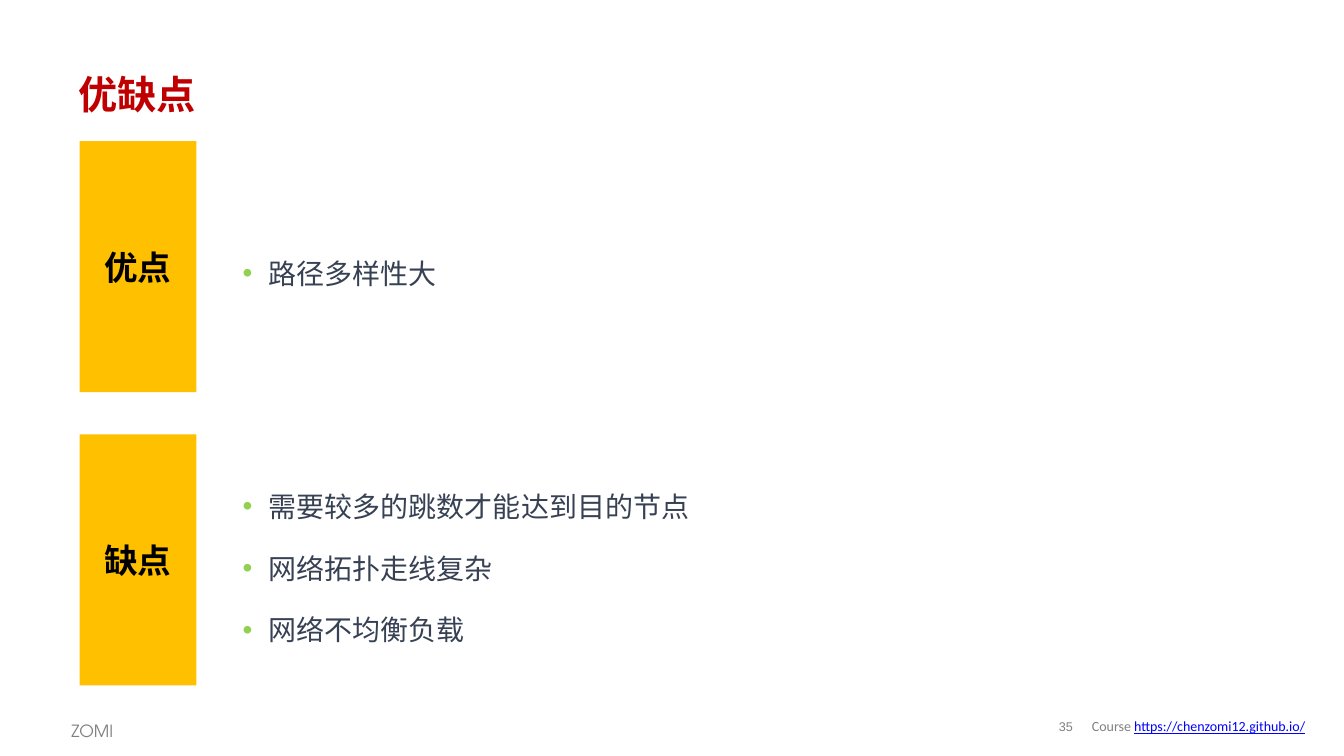
from lxml import etree
from pptx import Presentation
from pptx.dml.color import RGBColor
from pptx.enum import shapes, text
from pptx.oxml import ns
from pptx.util import Inches, Pt

RED = RGBColor(0xC0, 0x00, 0x00)
AMBER = RGBColor(0xFF, 0xC0, 0x00)
SLATE = RGBColor(0x37, 0x41, 0x54)
GRAY = RGBColor(0x80, 0x80, 0x80)
BLUE = RGBColor(0x00, 0x00, 0xFF)
BLACK = RGBColor(0x00, 0x00, 0x00)
BULLET_GREEN = "92D050"
HEADING_FONT = "TeX Gyre Adventor"
MIDDLE = text.MSO_ANCHOR.MIDDLE

deck = Presentation()
deck.slide_width, deck.slide_height = Inches(13.34), Inches(7.5)
page = deck.slides.add_slide(deck.slide_layouts[6])


def add_text(place, words, name, size, color, anchor=text.MSO_ANCHOR.TOP):
    """Add a wrapping text box, one paragraph per line of words."""
    box = page.shapes.add_textbox(*[Inches(length) for length in place])
    frame = box.text_frame
    frame.word_wrap = True
    frame.vertical_anchor = anchor
    frame.text = words
    for para in frame.paragraphs:
        for span in para.runs:
            span.font.name, span.font.size = name, Pt(size)
            span.font.color.rgb = color
    return frame


def add_bullet(para):
    properties = para._p.get_or_add_pPr()
    properties.set("marL", str(Inches(0.26)))
    properties.set("indent", str(-Inches(0.26)))
    color = etree.SubElement(properties, ns.qn("a:buClr"))
    etree.SubElement(color, ns.qn("a:srgbClr"), val=BULLET_GREEN)
    etree.SubElement(properties, ns.qn("a:buFont"), typeface="Arial")
    etree.SubElement(properties, ns.qn("a:buChar"), char="•")
    para.line_spacing = 1.5
    para.space_after = Pt(8)


# Footer
number = add_text((10.4, 7.06, 0.36, 0.31), "35", "Arial", 9, GRAY, MIDDLE)
number.margin_left = number.margin_right = number.margin_top = number.margin_bottom = 0
number.paragraphs[0].alignment = text.PP_ALIGN.CENTER
number.paragraphs[0].line_spacing = 0.85

author = add_text((0.61, 7.06, 0.8, 0.32), "ZOMI", HEADING_FONT, 12, GRAY)
author.paragraphs[0].line_spacing = 1.2

course = add_text((10.74, 7.06, 2.46, 0.29), "Course ", "Calibri", 10, GRAY, MIDDLE)
address = course.paragraphs[0].add_run()
address.text = "https://chenzomi12.github.io/"
address.font.name, address.font.size = "Calibri", Pt(10)
address.font.color.rgb = BLUE
address.font.underline = True

# Title
title = add_text((0.68, 0.61, 11.99, 0.64), "优缺点", HEADING_FONT, 28, RED, MIDDLE)
title.paragraphs[0].runs[0].font.bold = True

# One row each for strengths and weaknesses: label, label top, points top, points height, points
rows = [
    ("优点", 1.4, 2.33, 0.64, ["路径多样性大"]),
    ("缺点", 4.31, 4.64, 1.84,
     ["需要较多的跳数才能达到目的节点", "网络拓扑走线复杂", "网络不均衡负载"]),
]
for label, label_top, points_top, points_height, points in rows:
    block = page.shapes.add_shape(shapes.MSO_SHAPE.RECTANGLE, Inches(0.79),
                                  Inches(label_top), Inches(1.16), Inches(2.49))
    block.shadow.inherit = False
    block.fill.solid()
    block.fill.fore_color.rgb = AMBER
    block.line.fill.background()
    block.text_frame.text = label
    block.text_frame.vertical_anchor = MIDDLE
    para = block.text_frame.paragraphs[0]
    para.alignment = text.PP_ALIGN.CENTER
    font = para.runs[0].font
    font.name, font.size, font.bold = "Arial", Pt(24), True
    font.color.rgb = BLACK

    frame = add_text((2.31, points_top, 10.36, points_height), "\n".join(points),
                     "Calibri", 20, SLATE)
    for para in frame.paragraphs:
        add_bullet(para)

deck.save("out.pptx")
